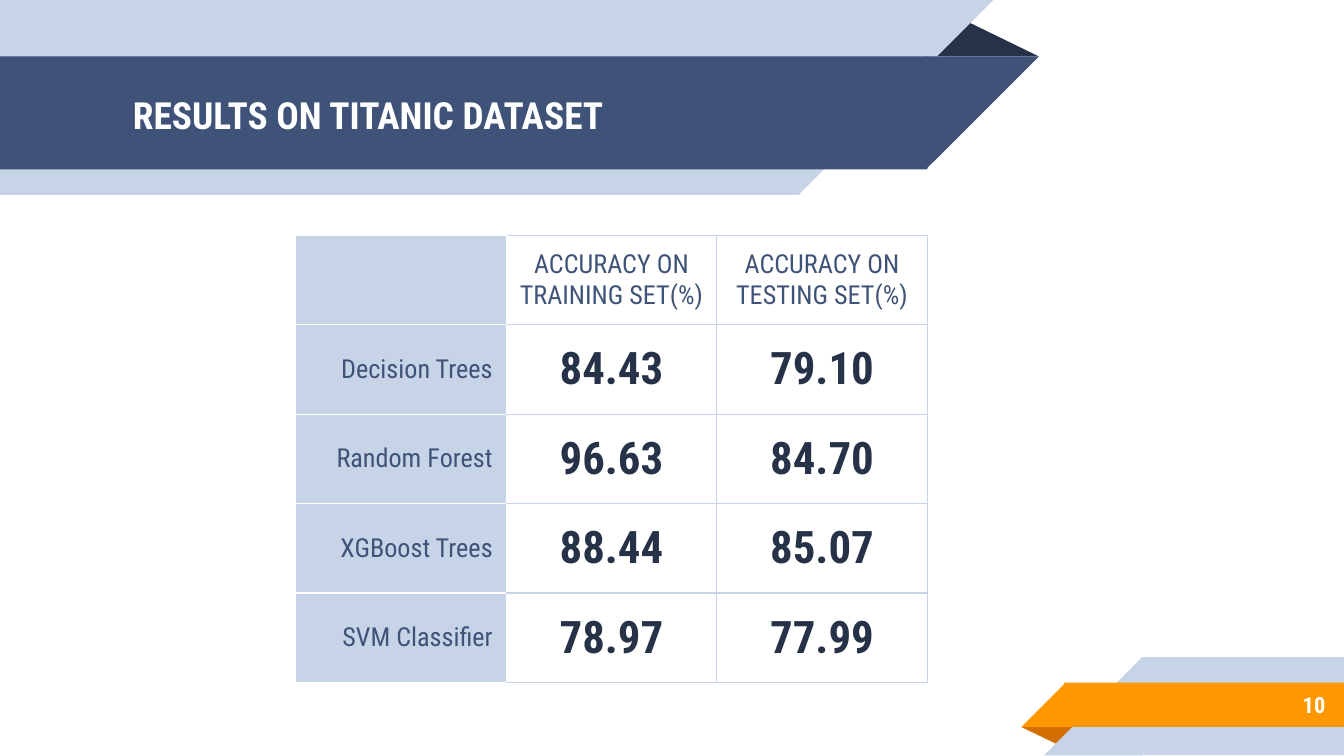
from dataclasses import dataclass

from lxml.etree import SubElement
from pptx import Presentation
from pptx.dml.color import RGBColor
from pptx.enum.shapes import MSO_SHAPE as Shape
from pptx.enum.text import MSO_ANCHOR as Anchor, PP_ALIGN as Align
from pptx.oxml.ns import qn
from pptx.util import Inches, Pt


@dataclass(frozen=True)
class Theme:
    font: str = "Roboto Condensed"
    white: str = "FFFFFF"
    pale: str = "C7D3E6"
    blue: str = "3F5378"
    navy: str = "263248"
    orange: str = "FF9800"
    rust: str = "D26F00"
    title: int = 20
    label: int = 14
    value: int = 24
    number: int = 12
    border: float = 0.75


THEME = Theme()
SLIDE_WIDTH = 10
SLIDE_HEIGHT = SLIDE_WIDTH * 9 / 16
OVERLAP = 0.01

RESULTS = [
    ("", "ACCURACY ON TRAINING SET(%)", "ACCURACY ON TESTING SET(%)"),
    ("Decision Trees", "84.43", "79.10"),
    ("Random Forest", "96.63", "84.70"),
    ("XGBoost Trees", "88.44", "85.07"),
    ("SVM Classifier", "78.97", "77.99"),
]


def add_block(s, kind, box, color, rotation=0, flip=False):
    sp = s.shapes.add_shape(kind, *map(Inches, box))
    sp.shadow.inherit = False
    sp.fill.solid()
    sp.fill.fore_color.rgb = RGBColor.from_string(color)
    sp.line.fill.background()
    sp.rotation = rotation
    if flip:
        sp._element.spPr.find(qn("a:xfrm")).set("flipH", "1")
    return sp


def add_fold(s, box, color, rotation=0):
    sp = add_block(s, Shape.ISOSCELES_TRIANGLE, box, color, rotation)
    sp.adjustments[0] = 0.324


def add_header_band(s, top, width, height, color):
    add_block(s, Shape.RECTANGLE, (0, top, width + OVERLAP, height), color, 180, True)
    add_block(s, Shape.RIGHT_TRIANGLE, (width, top, height, height), color, 180, True)


def add_footer_band(s, left, top, height, color):
    start = left - OVERLAP
    add_block(s, Shape.RECTANGLE, (start, top, SLIDE_WIDTH - start, height), color, 0, True)
    add_block(s, Shape.RIGHT_TRIANGLE, (left - height, top, height, height), color, 0, True)


def format_text(tf, text, size, color, bold, align):
    tf.text = text
    for p in tf.paragraphs:
        p.alignment = align
        for r in p.runs:
            r.font.name = THEME.font
            r.font.size = Pt(size)
            r.font.bold = bold
            r.font.color.rgb = RGBColor.from_string(color)


def add_text(s, box, text, size, align):
    tf = s.shapes.add_textbox(*map(Inches, box)).text_frame
    tf.word_wrap = True
    tf.vertical_anchor = Anchor.MIDDLE
    tf.margin_left = tf.margin_right = tf.margin_top = tf.margin_bottom = Inches(0.1)
    format_text(tf, text, size, THEME.white, True, align)


def set_borders(cell, colors):
    tc_pr = cell._tc.get_or_add_tcPr()
    for side, color in zip("LRTB", colors):
        ln = SubElement(tc_pr, qn(f"a:ln{side}"), w=str(Pt(THEME.border)))
        fill = SubElement(ln, qn("a:solidFill"))
        SubElement(fill, qn("a:srgbClr"), val=color)


def format_cell(cell, text, row, col):
    cell.vertical_anchor = Anchor.MIDDLE
    cell.margin_left = cell.margin_right = Inches(0.1)
    cell.margin_top = cell.margin_bottom = Inches(0.07)
    if col == 0:
        set_borders(cell, [THEME.white] * 4)
        cell.fill.solid()
        cell.fill.fore_color.rgb = RGBColor.from_string(THEME.pale)
    else:
        left = THEME.white if col == 1 else THEME.pale
        set_borders(cell, [left] + [THEME.pale] * 3)
        cell.fill.background()
    is_value = row > 0 and col > 0
    size, color = (THEME.value, THEME.navy) if is_value else (THEME.label, THEME.blue)
    align = Align.CENTER if col else Align.RIGHT
    format_text(cell.text_frame, text, size, color, is_value, align)


def add_results_table(s, rows):
    box = (2.2, 1.75, 4.7, 3.33)
    table = s.shapes.add_table(len(rows), len(rows[0]), *map(Inches, box)).table
    table.first_row = table.horz_banding = False
    for i, row in enumerate(rows):
        for j, text in enumerate(row):
            format_cell(table.cell(i, j), text, i, j)


def main():
    prs = Presentation()
    prs.slide_width, prs.slide_height = Inches(SLIDE_WIDTH), Inches(SLIDE_HEIGHT)
    s = prs.slides.add_slide(prs.slide_layouts[6])

    add_fold(s, (6.88, 0.14, 0.85, 0.28), THEME.navy)
    add_header_band(s, 0, 5.94, 1.45, THEME.pale)
    add_header_band(s, 0.42, 6.89, 0.84, THEME.blue)

    add_fold(s, (7.6, 5.41, 0.43, 0.14), THEME.rust, 180)
    add_footer_band(s, 8.5, 4.89, 0.73, THEME.pale)
    add_footer_band(s, 7.93, 5.08, 0.33, THEME.orange)

    add_text(s, (0.89, 0.43, 5.75, 0.84), "RESULTS ON TITANIC DATASET", THEME.title, Align.LEFT)
    add_results_table(s, RESULTS)
    add_text(s, (8.33, 5.07, 1.63, 0.35), "10", THEME.number, Align.RIGHT)

    prs.save("out.pptx")


if __name__ == "__main__":
    main()
